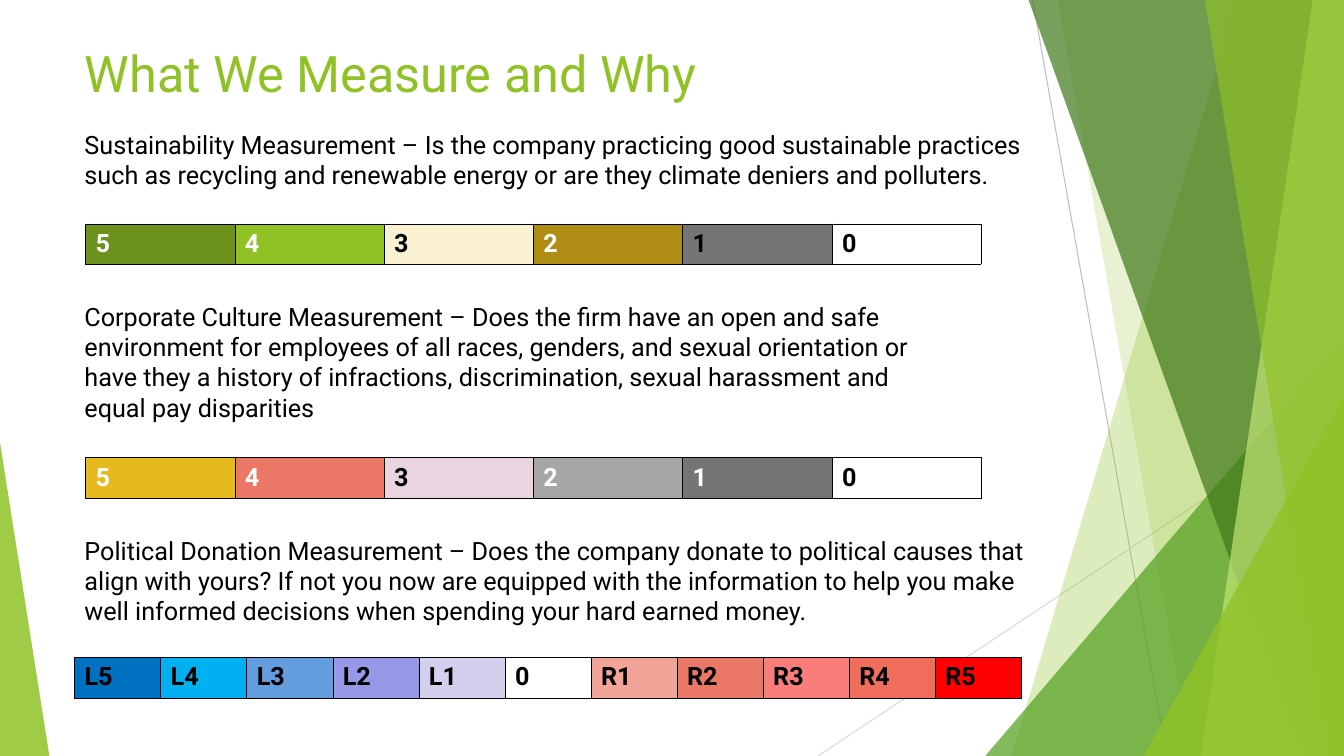
from collections import namedtuple
from dataclasses import dataclass

from lxml.etree import SubElement
from pptx import Presentation
from pptx.dml.color import RGBColor
from pptx.enum.shapes import MSO_CONNECTOR, MSO_SHAPE
from pptx.enum.text import MSO_ANCHOR, MSO_AUTO_SIZE, PP_ALIGN
from pptx.oxml.ns import qn
from pptx.util import Pt

Box = namedtuple("Box", "x y w h")


@dataclass(frozen=True)
class Theme:
    font: str = "Roboto"
    title_size: float = 36
    body_size: float = 18
    green: str = "90C226"
    leaf: str = "54A021"
    forest: str = "3F7819"
    lime: str = "C0E474"
    black: str = "000000"
    white: str = "FFFFFF"
    ray_dark: str = "BFBFBF"
    ray_light: str = "D9D9D9"
    ray_width: float = 0.75
    border: float = 0.45


T = Theme()
SLIDE = Box(0, 0, 960.48, 540)

MEASURES = [
    (Box(53.28, 88.56, 684.72, 72),
     "Sustainability Measurement – Is the company practicing good sustainable practices "
     "such as recycling and renewable energy or are they climate deniers and polluters."),
    (Box(53.28, 211.68, 630.72, 93.6),
     "Corporate Culture Measurement – Does the firm have an open and safe environment for "
     "employees of all races, genders, and sexual orientation or have they a history of "
     "infractions, discrimination, sexual harassment and equal pay disparities"),
    (Box(53.28, 378.72, 694.8, 72),
     "Political Donation Measurement – Does the company donate to political causes that "
     "align with yours? If not you now are equipped with the information to help you make "
     "well informed decisions when spending your hard earned money."),
]

SCALES = [
    (Box(61.2, 159.84, 640.08, 28.8), "5 4 3 2 1 0",
     "6C911D 90C226 FAF1D2 AF8C13 757575 FFFFFF", {"5", "4", "2"}),
    (Box(61.2, 326.88, 640.08, 29.16), "5 4 3 2 1 0",
     "E6B91E EB7766 EAD4E1 A6A6A6 757575 FFFFFF", {"5", "4", "2", "1"}),
    (Box(53.28, 469.44, 676.8, 29.16), "L5 L4 L3 L2 L1 0 R1 R2 R3 R4 R5",
     "0070C0 00B0F0 639DDD 9898E8 D3D0EE FFFFFF F2A499 EB7766 F97E7B F16D5B FF0000", set()),
]


def style_text(p, size, color, bold=False):
    p.alignment = PP_ALIGN.LEFT
    for r in p.runs:
        r.font.name = T.font
        r.font.size = Pt(size)
        r.font.bold = bold
        r.font.color.rgb = RGBColor.from_string(color)


def fill_facet(sp, color, alpha):
    sp.shadow.inherit = False
    sp.line.fill.background()
    sp.fill.solid()
    sp.fill.fore_color.rgb = RGBColor.from_string(color)
    clr = sp.fill._xPr.find(qn("a:solidFill"))[0]
    SubElement(clr, qn("a:alpha"), val=str(alpha * 1000))


def add_ray(s, x1, y1, x2, y2, color):
    ray = s.shapes.add_connector(MSO_CONNECTOR.STRAIGHT, Pt(x1), Pt(y1), Pt(x2), Pt(y2))
    ray.line.color.rgb = RGBColor.from_string(color)
    ray.line.width = Pt(T.ray_width)
    SubElement(ray._element.spPr, qn("a:effectLst"))


def add_band(s, box, top, bottom, color, alpha):
    right, base = box.x + box.w, box.y + box.h
    fb = s.shapes.build_freeform(Pt(box.x + top), Pt(box.y))
    fb.add_line_segments([(Pt(right), Pt(box.y)), (Pt(right), Pt(base)),
                          (Pt(box.x + bottom), Pt(base))])
    fill_facet(fb.convert_to_shape(), color, alpha)


def add_wedge(s, x, base, w, h, apex, color, alpha):
    sp = s.shapes.add_shape(MSO_SHAPE.ISOSCELES_TRIANGLE, Pt(x), Pt(base - h), Pt(w), Pt(h))
    sp.adjustments[0] = apex
    fill_facet(sp, color, alpha)


def add_facets(s, box):
    right, base = box.x + box.w, box.y + box.h
    add_ray(s, box.x + 738, box.y, box.x + 833.76, base, T.ray_dark)
    add_ray(s, right, box.y + 290.16, box.x + 584.64, base, T.ray_light)
    add_band(s, box, 884.16, 722.88, T.green, 30)
    add_band(s, box, 756, 851.04, T.green, 20)
    add_wedge(s, right - 256.32, base, 256.32, 300.24, 1, T.leaf, 72)
    add_band(s, box, 735.12, 929.52, T.forest, 70)
    add_band(s, box, 938.16, 858.24, T.lime, 70)
    add_band(s, box, 861.12, 948.96, T.green, 65)
    add_wedge(s, right - 143.28, base, 143.28, 257.04, 1, T.green, 80)
    add_wedge(s, box.x, base, 35.28, 223.92, 0, T.green, 85)


def add_title(s, box):
    title = s.shapes.title
    title.left, title.top, title.width, title.height = map(Pt, box)
    tf = title.text_frame
    tf.text = "What We Measure and Why"
    tf.auto_size = MSO_AUTO_SIZE.NONE
    tf.vertical_anchor = MSO_ANCHOR.MIDDLE
    style_text(tf.paragraphs[0], T.title_size, T.green)


def add_measure(s, box, text):
    tf = s.shapes.add_textbox(*map(Pt, box)).text_frame
    tf.word_wrap = True
    tf.text = text
    style_text(tf.paragraphs[0], T.body_size, T.black)


def add_borders(cell):
    tcPr = cell._tc.get_or_add_tcPr()
    for side in ("lnL", "lnR", "lnT", "lnB"):
        ln = SubElement(tcPr, qn(f"a:{side}"), w=str(Pt(T.border)))
        SubElement(SubElement(ln, qn("a:solidFill")), qn("a:srgbClr"), val=T.black)


def add_scale(s, box, labels, fills, light):
    labels = labels.split()
    table = s.shapes.add_table(1, len(labels), *map(Pt, box)).table
    table.first_row = table.horz_banding = False
    for i, (label, fill) in enumerate(zip(labels, fills.split())):
        table.columns[i].width = Pt(box.w / len(labels))
        cell = table.cell(0, i)
        add_borders(cell)
        cell.fill.solid()
        cell.fill.fore_color.rgb = RGBColor.from_string(fill)
        cell.text_frame.text = label
        color = T.white if label in light else T.black
        style_text(cell.text_frame.paragraphs[0], T.body_size, color, bold=True)


def build_measures_slide(prs, box):
    s = prs.slides.add_slide(prs.slide_layouts[5])
    add_facets(s, box)
    add_title(s, Box(box.x + 53.28, box.y + 22.32, 676.8, 59.04))
    for area, text in MEASURES:
        add_measure(s, area._replace(x=box.x + area.x, y=box.y + area.y), text)
    for area, labels, fills, light in SCALES:
        add_scale(s, area._replace(x=box.x + area.x, y=box.y + area.y), labels, fills, light)


def main():
    prs = Presentation()
    prs.slide_width, prs.slide_height = Pt(SLIDE.w), Pt(SLIDE.h)
    build_measures_slide(prs, SLIDE)
    prs.save("out.pptx")


if __name__ == "__main__":
    main()
